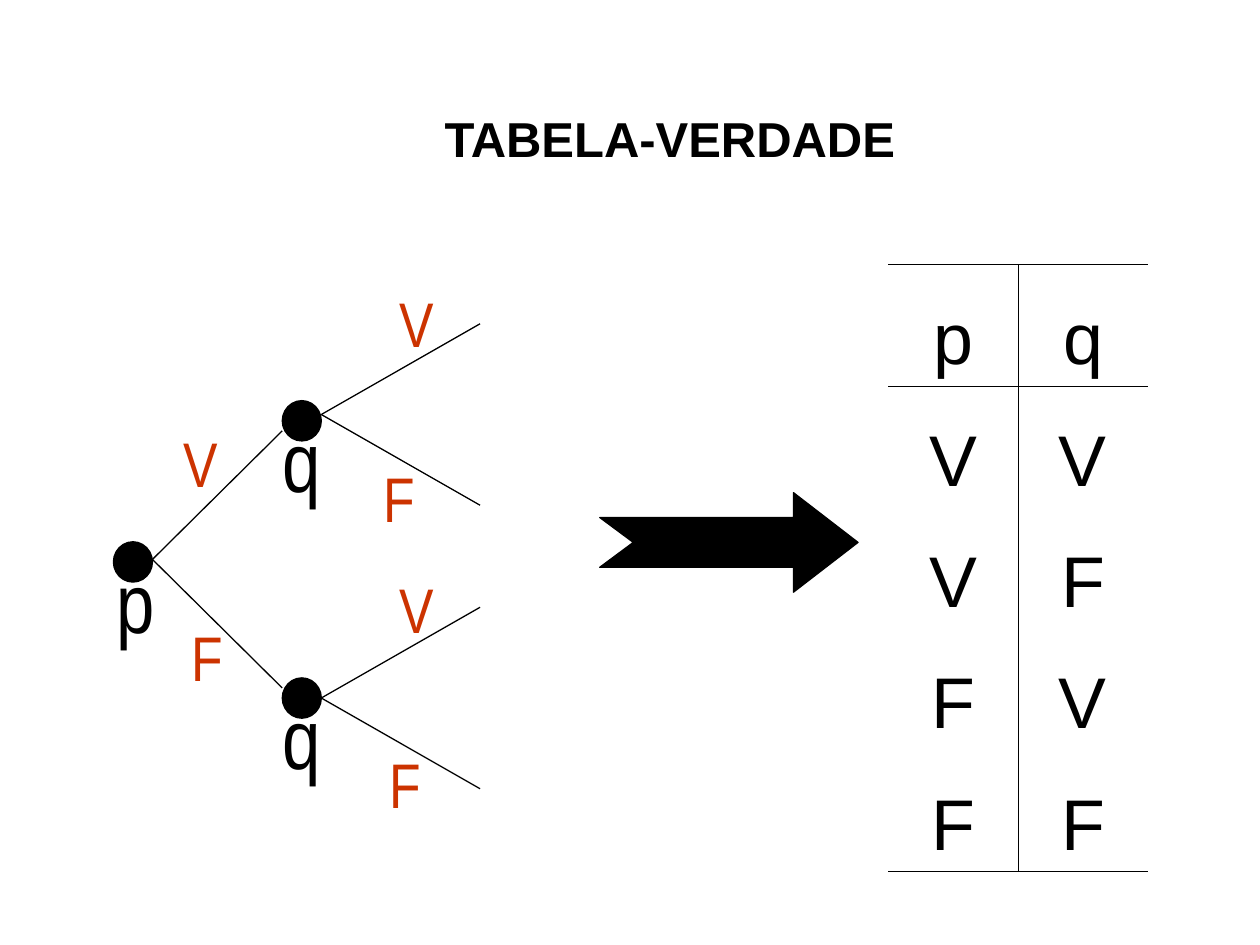
from pptx import Presentation
from pptx.dml.color import RGBColor
from pptx.enum.shapes import MSO_CONNECTOR as Connector, MSO_SHAPE as Shape
from pptx.enum.text import MSO_ANCHOR as Anchor, PP_ALIGN as Align
from pptx.oxml.ns import qn
from pptx.util import Inches, Pt
from lxml.etree import SubElement, Element

# The slide is a grid of 100 columns by 75 rows of square cells
COLUMNS, ROWS = 100, 75
BLACK, RED = "000000", "CC3300"
NODE_W, NODE_H = 3.1, 3.2


def grid(cells):
    return Inches(cells / 10)


def color(hex_code):
    return RGBColor.from_string(hex_code)


def paint(shape):
    shape.shadow.inherit = False
    shape.fill.solid()
    shape.fill.fore_color.rgb = color(BLACK)
    shape.line.color.rgb = color(BLACK)
    shape.line.width = Pt(0.75)


def style(paragraph, size, face="Arial", hex_code=BLACK, bold=False):
    font = paragraph.font
    font.name, font.size, font.bold = face, Pt(size), bold
    font.color.rgb = color(hex_code)


def add_letter(slide, letter, left, top, size, hex_code):
    """A single centred letter, as wide as a node."""
    box = slide.shapes.add_textbox(
        grid(left), grid(top), grid(NODE_W), grid(size / 6))
    frame = box.text_frame
    frame.margin_left = frame.margin_right = 0
    frame.margin_top = frame.margin_bottom = 0
    paragraph = frame.paragraphs[0]
    paragraph.text, paragraph.alignment = letter, Align.CENTER
    style(paragraph, size, "Arial Narrow", hex_code)


def add_branch(slide, start, end):
    branch = slide.shapes.add_connector(
        Connector.STRAIGHT, *(grid(cells) for cells in start + end))
    branch.line.color.rgb = color(BLACK)
    branch.line.width = Pt(0.75)
    SubElement(branch._element.spPr, qn("a:effectLst"))


def add_title(slide, left, top, width, height):
    box = slide.shapes.add_textbox(
        grid(left), grid(top), grid(width), grid(height))
    frame = box.text_frame
    frame.word_wrap = True
    frame.margin_top = Inches(0.1)
    paragraph = frame.paragraphs[0]
    paragraph.text = "TABELA-VERDADE"
    paragraph._p.get_or_add_pPr().set("marL", str(Inches(2.93)))
    style(paragraph, 28, bold=True)


def add_fork(slide, name, left, top, apex, reach, rise, labels):
    """A named node whose two branches open to the right from its apex."""
    node = slide.shapes.add_shape(
        Shape.OVAL, grid(left), grid(top), grid(NODE_W), grid(NODE_H))
    paint(node)
    add_letter(slide, name, left + (0.2 if name == "p" else 0), top + 0.6,
               48, BLACK)
    x, y = left + NODE_W, top + apex
    for side, (letter, dx, dy) in zip((-1, 1), labels):
        add_branch(slide, (x, y), (x + reach, y + side * rise))
        add_letter(slide, letter, left + dx, top + dy, 36, RED)


def add_tree(slide, left, top):
    """The tree, placed from the top left corner of its root node."""
    add_fork(slide, "p", left, top, 1.4, 10.3, 10.2,
             [("V", 5.4, -9.3), ("F", 5.9, 6.1)])
    add_fork(slide, "q", left + 13.4, top - 11.2, 1.1, 12.6, 7.2,
             [("V", 9.1, -9.2), ("F", 7.7, 4.7)])
    add_fork(slide, "q", left + 13.4, top + 10.8, 1.6, 12.6, 7.2,
             [("V", 9.1, -8.5), ("F", 8.2, 5.4)])


def add_arrow(slide, left, top, width, height):
    """A notched arrow; its points are shares of its box."""
    points = [(0, 0.25), (0.75, 0.25), (0.75, 0), (1, 0.5),
              (0.75, 1), (0.75, 0.75), (0, 0.75), (0.13, 0.5)]
    outline = [(grid(left + x * width), grid(top + y * height))
               for x, y in points]
    builder = slide.shapes.build_freeform(*outline[0])
    builder.add_line_segments(outline[1:], close=True)
    paint(builder.convert_to_shape())


def set_borders(cell, drawn):
    """Rule the sides in drawn (of L, R, T, B) and clear the others."""
    properties = cell._tc.get_or_add_tcPr()
    for place, side in enumerate("LRTB"):
        border = Element(qn(f"a:ln{side}"), w=str(Pt(0.45)))
        if side in drawn:
            fill = SubElement(border, qn("a:solidFill"))
            SubElement(fill, qn("a:srgbClr"), val=BLACK)
        else:
            SubElement(border, qn("a:noFill"))
        properties.insert(place, border)


def add_truth_table(slide, left, top, width, height):
    rows = ["pq", "VV", "VF", "FV", "FF"]
    table = slide.shapes.add_table(
        len(rows), 2, grid(left), grid(top), grid(width), grid(height)).table
    table.first_row = table.horz_banding = False
    for r, letters in enumerate(rows):
        # Rules above and below the header, and below the last row
        across = {0: "TB", 1: "T", len(rows) - 1: "B"}.get(r, "")
        for c, letter in enumerate(letters):
            cell = table.cell(r, c)
            cell.fill.background()
            cell.vertical_anchor = Anchor.BOTTOM
            paragraph = cell.text_frame.paragraphs[0]
            paragraph.text, paragraph.alignment = letter, Align.CENTER
            style(paragraph, 41)
            set_borders(cell, across + "RL"[c])


def main():
    deck = Presentation()
    deck.slide_width, deck.slide_height = grid(COLUMNS), grid(ROWS)
    slide = deck.slides.add_slide(deck.slide_layouts[6])
    add_title(slide, 5, 7.6, 90, 63)
    add_tree(slide, 9, 43)
    add_truth_table(slide, 70.5, 21, 20.6, 48.2)
    add_arrow(slide, 47.6, 39.1, 20.5, 7.9)
    deck.save("out.pptx")


if __name__ == "__main__":
    main()
